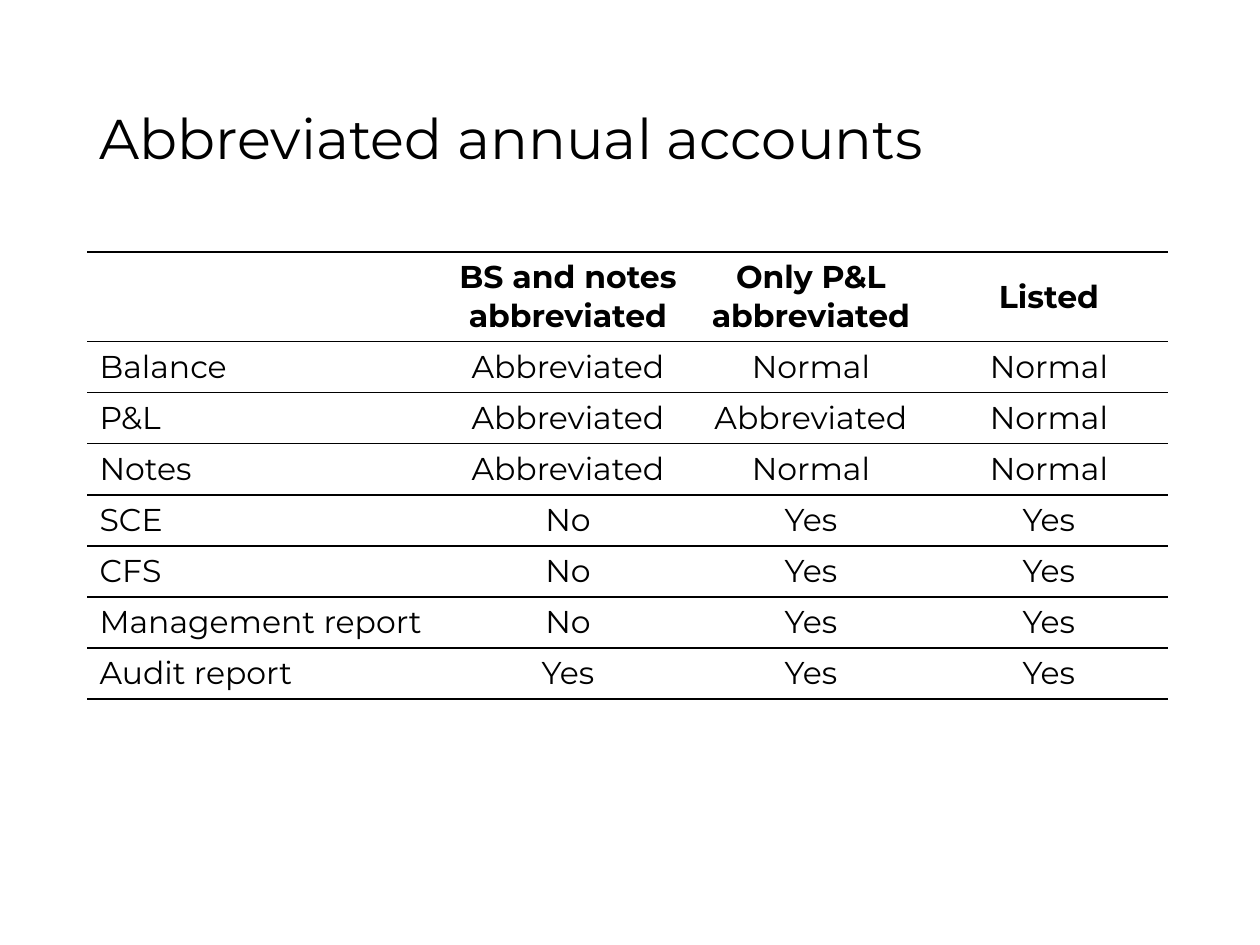
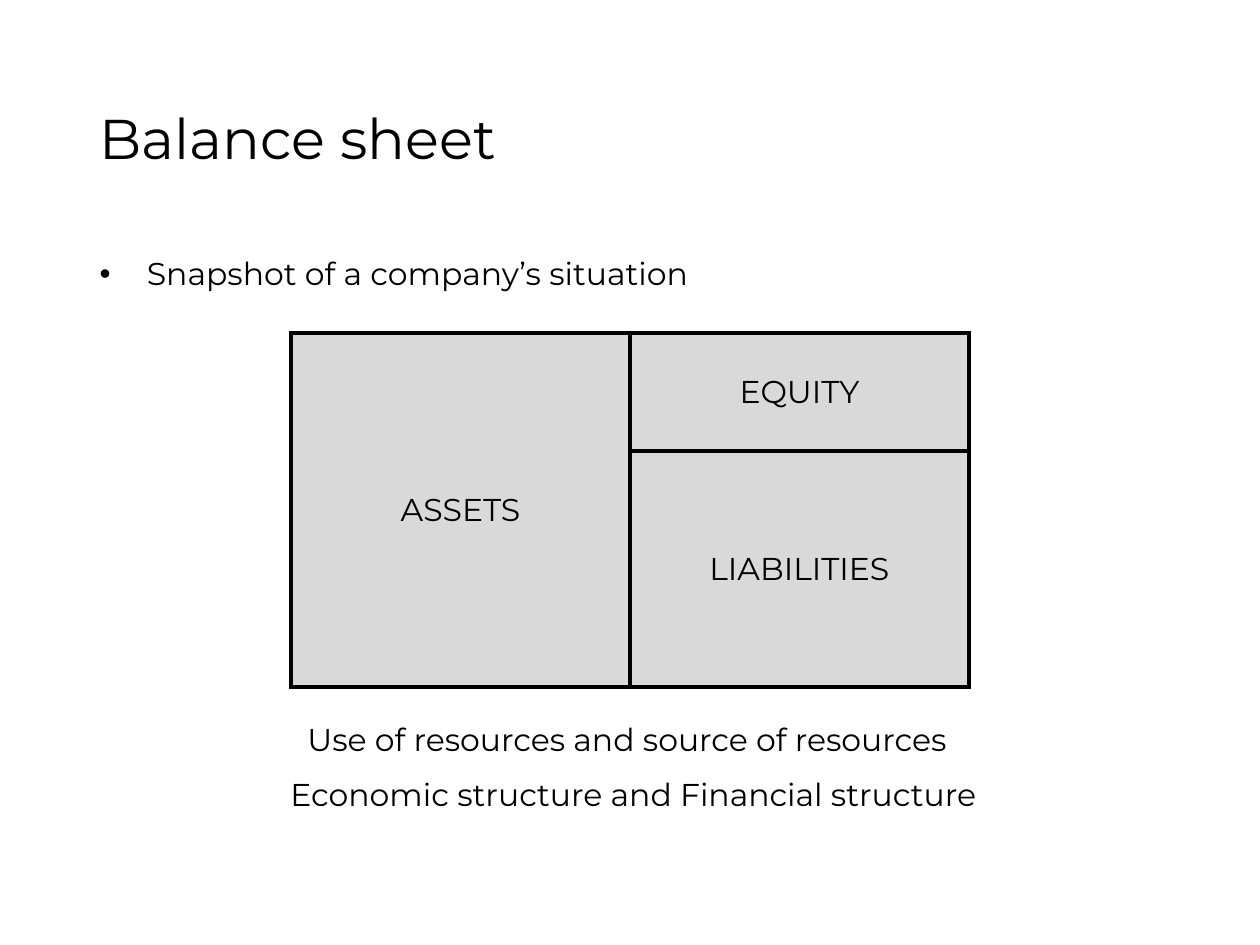
import pptx
import pptx.util
import pptx.dml.color
import pptx.enum.text
import pptx.oxml
import pptx.oxml.ns

FONT, BLACK, GREY = "Montserrat", "000000", "D9D9D9"
PX = 914400 / 126
LEFT, TOP, WIDE = 87, 252, 1086
TITLE_BOX = (LEFT, 50, WIDE, 183)
ALIGN = pptx.enum.text.PP_ALIGN
MIDDLE = pptx.enum.text.MSO_ANCHOR.MIDDLE

FORMS = [
    ("", "BS and notes abbreviated", "Only P&L abbreviated", "Listed"),
    ("Balance", "Abbreviated", "Normal", "Normal"),
    ("P&L", "Abbreviated", "Abbreviated", "Normal"),
    ("Notes", "Abbreviated", "Normal", "Normal"),
    ("SCE", "No", "Yes", "Yes"),
    ("CFS", "No", "Yes", "Yes"),
    ("Management report", "No", "Yes", "Yes"),
    ("Audit report", "Yes", "Yes", "Yes"),
]
FORM_COLS = (357, 248, 238, 238)
FORM_ROWS = (89,) + (51,) * (len(FORMS) - 1)

SHEET = [("ASSETS", "EQUITY"), ("", "LIABILITIES")]
SHEET_COLS = (339, 339)
SHEET_ROWS = (118, 236)
LEAD = "Snapshot of a company’s situation"
NOTES = [
    ("Use of resources and source of resources", (295, 714, 678, 50), ALIGN.LEFT),
    ("Economic structure and Financial structure", (273, 769, 721, 50), ALIGN.CENTER),
]


def px(n):
    return pptx.util.Emu(round(n * PX))


def color(code):
    return pptx.dml.color.RGBColor.from_string(code)


def place(shape, box):
    shape.left, shape.top, shape.width, shape.height = map(px, box)


def write(frame, text, size=18, align=ALIGN.LEFT, bold=False):
    frame.text = text
    para = frame.paragraphs[0]
    para.alignment = align
    para.space_before = pptx.util.Pt(0)
    for run in para.runs:
        run.font.name, run.font.size = FONT, pptx.util.Pt(size)
        run.font.bold = bold
        run.font.color.rgb = color(BLACK)
    return para


def start(deck, layout, title):
    """Add a slide with its title set in the shared style."""
    slide = deck.slides.add_slide(deck.slide_layouts[layout])
    place(slide.shapes.title, TITLE_BOX)
    write(slide.shapes.title.text_frame, title, 32).line_spacing = 0.9
    return slide


def border(cell, sides, width):
    """Rule the named sides (of L, R, T, B) and clear the others."""
    props = cell._tc.get_or_add_tcPr()
    ns = pptx.oxml.ns.nsdecls("a")
    for side in "LRTB":
        ink = "<a:noFill/>"
        if side in sides:
            ink = f'<a:solidFill><a:srgbClr val="{BLACK}"/></a:solidFill>'
        props.append(pptx.oxml.parse_xml(
            f'<a:ln{side} {ns} w="{pptx.util.Pt(width)}">{ink}</a:ln{side}>'))


def grid(slide, rows, left, top, wides, highs, sides, width, fill=None):
    """Add a plain table and return it."""
    table = slide.shapes.add_table(
        len(rows), len(wides), px(left), px(top), px(sum(wides)), px(sum(highs))).table
    table.first_row = table.horz_banding = False
    for col, wide in zip(table.columns, wides):
        col.width = px(wide)
    for line, high, texts in zip(table.rows, highs, rows):
        line.height = px(high)
        for cell, text in zip(line.cells, texts):
            border(cell, sides, width)
            if fill:
                cell.fill.solid()
                cell.fill.fore_color.rgb = color(fill)
            else:
                cell.fill.background()
            cell.vertical_anchor = MIDDLE
            write(cell.text_frame, text, align=ALIGN.CENTER)
    return table


def accounts(deck):
    slide = start(deck, 5, "Abbreviated annual accounts")
    table = grid(slide, FORMS, LEFT, TOP, FORM_COLS, FORM_ROWS, "TB", 1)
    for cell in table.rows[0].cells:
        for run in cell.text_frame.paragraphs[0].runs:
            run.font.bold = True
    for row in table.rows:
        row.cells[0].text_frame.paragraphs[0].alignment = ALIGN.LEFT


def balance(deck):
    slide = start(deck, 1, "Balance sheet")
    body = slide.placeholders[1]
    place(body, (LEFT, TOP, WIDE, 600))
    props = body.text_frame.paragraphs[0]._p.get_or_add_pPr()
    props.set("marL", "0")
    props.set("indent", "0")
    props.append(pptx.oxml.parse_xml(f'<a:buNone {pptx.oxml.ns.nsdecls("a")}/>'))
    write(body.text_frame, LEAD).line_spacing = 0.9

    table = grid(slide, SHEET, 291, 333, SHEET_COLS, SHEET_ROWS, "LRTB", 2.25, GREY)
    table.cell(0, 0).merge(table.cell(1, 0))
    for text, box, align in NOTES:
        note = slide.shapes.add_textbox(*map(px, box)).text_frame
        note.word_wrap = True
        write(note, text, align=align)


def main():
    deck = pptx.Presentation()
    deck.slide_width, deck.slide_height = px(1260), px(945)
    accounts(deck)
    balance(deck)
    deck.save("out.pptx")


if __name__ == "__main__":
    main()
